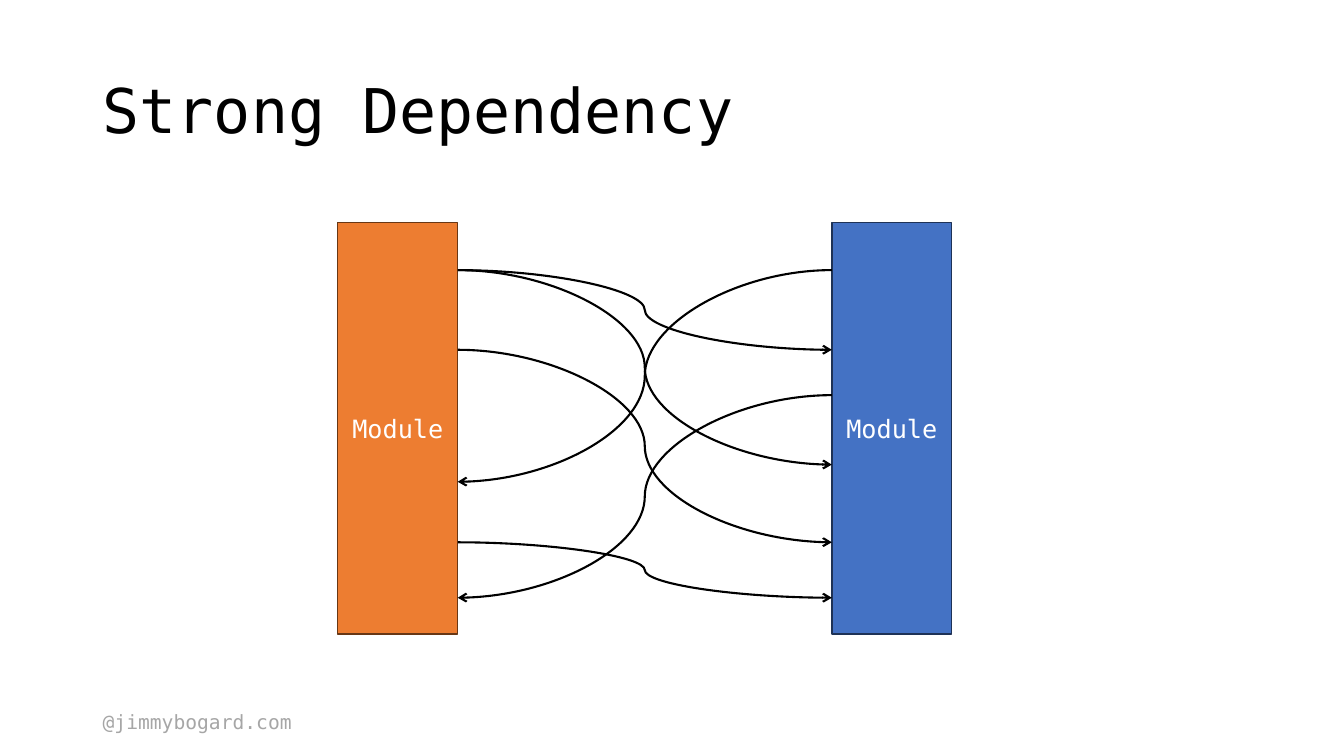
import pptx
import pptx.util
import pptx.dml.color
import pptx.enum.dml
import pptx.enum.shapes
import pptx.enum.text
import lxml.etree

RGBColor = pptx.dml.color.RGBColor
BLACK = RGBColor(0x00, 0x00, 0x00)
WHITE = RGBColor(0xFF, 0xFF, 0xFF)
GREY = RGBColor(0xA6, 0xA6, 0xA6)
BLUE = RGBColor(0x44, 0x72, 0xC4)
DARK_BLUE = RGBColor(0x1E, 0x32, 0x56)
ORANGE = RGBColor(0xED, 0x7D, 0x31)
DARK_ORANGE = RGBColor(0x68, 0x37, 0x15)

MIDDLE = pptx.enum.text.MSO_ANCHOR.MIDDLE
TOP = pptx.enum.text.MSO_ANCHOR.TOP
LEFT = pptx.enum.text.PP_ALIGN.LEFT
CENTER = pptx.enum.text.PP_ALIGN.CENTER
DRAWING_NS = "{http://schemas.openxmlformats.org/drawingml/2006/main}"
inches = pptx.util.Inches


def write(holder, words, size, color, anchor, align, spacing=1.0):
    frame = holder.text_frame
    frame.word_wrap = True
    frame.vertical_anchor = anchor
    line = frame.paragraphs[0]
    line.text = words
    line.alignment = align
    line.line_spacing = spacing
    font_format = {"name": "DejaVu Sans Mono", "size": pptx.util.Pt(size)}
    for attribute, value in font_format.items():
        setattr(line.font, attribute, value)
    line.font.color.rgb = color


deck = pptx.Presentation()
deck.slide_width, deck.slide_height = inches(13.33), inches(7.5)
slide = deck.slides.add_slide(deck.slide_layouts[6])

# Title and footer share the left margin
margin = 0.92
title = slide.shapes.add_textbox(inches(margin), inches(0.4), inches(11.5), inches(1.45))
write(title, "Strong Dependency", 44, BLACK, MIDDLE, LEFT, 0.9)
handle = slide.shapes.add_textbox(inches(margin), inches(6.99), inches(2.85), inches(0.34))
write(handle, "@jimmybogard.com", 14, GREY, TOP, LEFT)

# Two modules: equal columns with a gap for the dependencies
module_top, module_width, module_height = 2.21, 1.19, 4.08
left_module, right_module = 3.35, 8.25
for module_left, fill, outline in [
    (right_module, BLUE, DARK_BLUE),
    (left_module, ORANGE, DARK_ORANGE),
]:
    module = slide.shapes.add_shape(
        pptx.enum.shapes.MSO_SHAPE.RECTANGLE,
        inches(module_left), inches(module_top), inches(module_width), inches(module_height),
    )
    module.shadow.inherit = False
    module.fill.solid()
    module.fill.fore_color.rgb = fill
    module.line.color.rgb = outline
    module.line.width = pptx.util.Pt(1)
    write(module, "Module", 18, WHITE, MIDDLE, CENTER)

# Dependencies: side of origin, start height, end height
left_edge, right_edge = left_module + module_width, right_module
dependencies = [
    ("left", 2.68, 3.47),
    ("left", 2.68, 4.61),
    ("right", 2.68, 4.78),
    ("left", 3.47, 5.38),
    ("right", 3.92, 5.93),
    ("left", 5.38, 5.93),
]
for origin, start_y, end_y in dependencies:
    start_x, end_x = (left_edge, right_edge) if origin == "left" else (right_edge, left_edge)
    dependency = slide.shapes.add_connector(
        pptx.enum.shapes.MSO_CONNECTOR.CURVE,
        inches(start_x), inches(start_y), inches(end_x), inches(end_y),
    )
    dependency.line.color.rgb = BLACK
    dependency.line.width = pptx.util.Pt(1.5)
    outline_xml = dependency.line._get_or_add_ln()
    lxml.etree.SubElement(outline_xml, DRAWING_NS + "tailEnd", type="arrow")
    lxml.etree.SubElement(dependency._element.spPr, DRAWING_NS + "effectLst")

deck.save("out.pptx")
